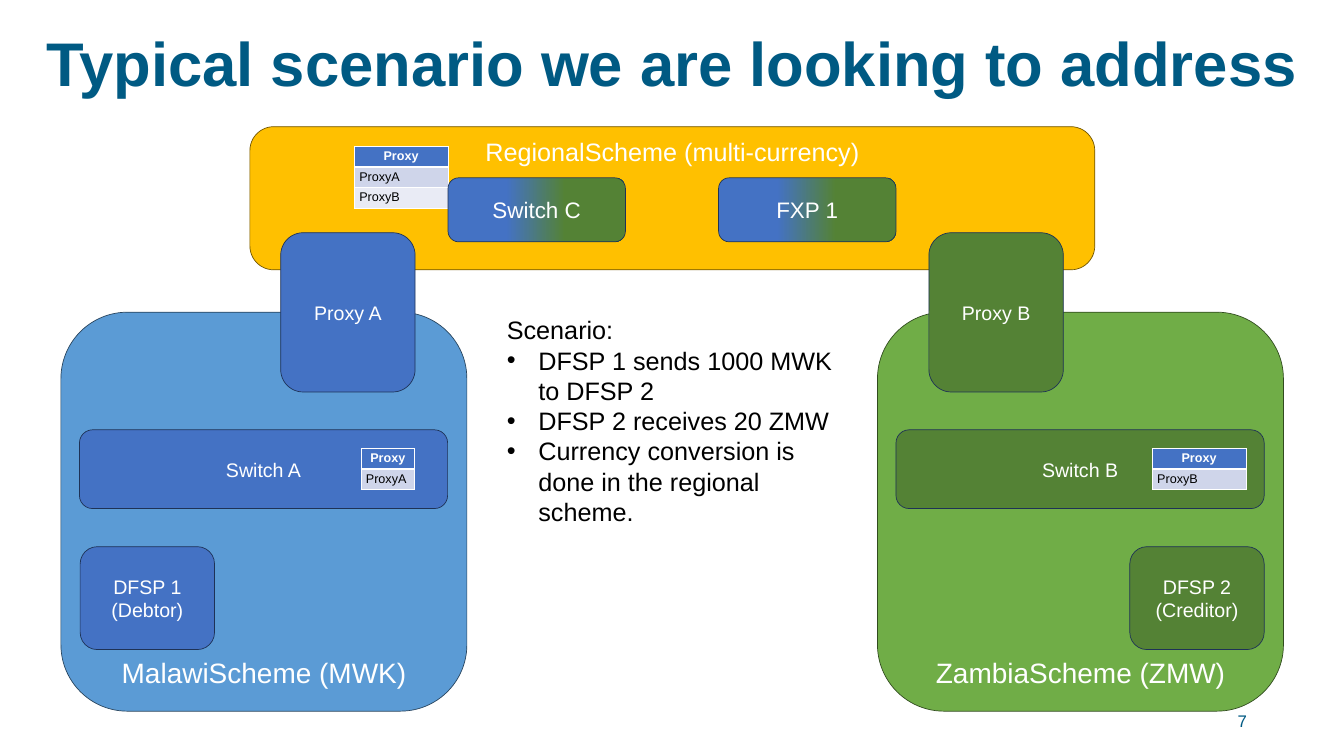
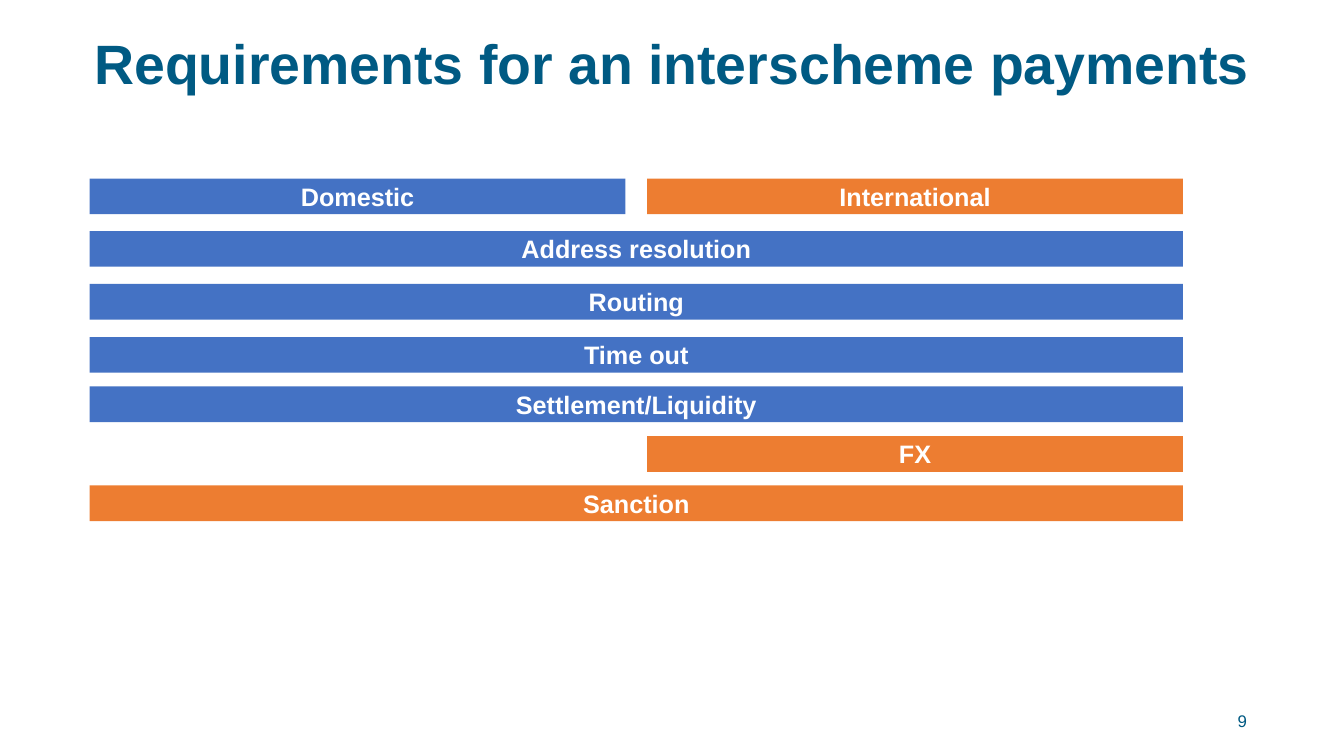
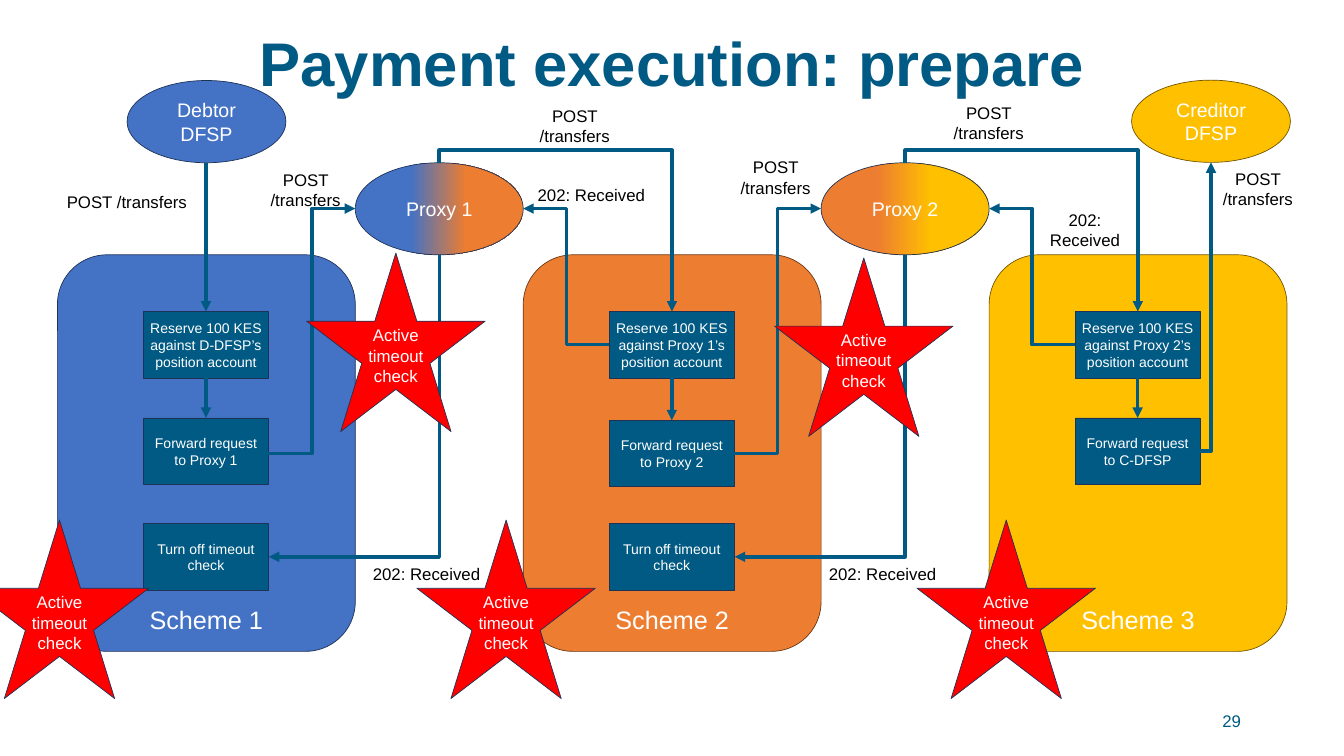
"""Build three slides on payments between regional and domestic schemes."""
from math import cos, radians, sin

from lxml.etree import SubElement
from pptx import Presentation
from pptx.dml.color import RGBColor
from pptx.enum.shapes import MSO_CONNECTOR as Link, MSO_SHAPE as Shape
from pptx.enum.text import MSO_ANCHOR as Anchor, PP_ALIGN as Align
from pptx.oxml.ns import qn
from pptx.util import Pt

COLOURS = {
    "brand": "005A83", "white": "FFFFFF", "black": "000000", "red": "FF0000",
    "blue": "4472C4", "sky": "5B9BD5", "green": "70AD47", "forest": "548235",
    "orange": "ED7D31", "gold": "FFC000", "navy": "1E3256", "slate": "28445D",
    "moss": "314C1F", "brown": "683715", "olive": "705400",
    "band": "CFD5EA", "pale": "E9EBF5",
}
FONT = "Arial"
STEP = 665.5
RECEIVED, TRANSFERS = "202: Received", "POST /transfers"


def rgb(name):
    """Return the named colour."""
    return RGBColor.from_string(COLOURS[name])


def points(*values):
    """Convert numbers to lengths in points."""
    return [Pt(value) for value in values]


def add_span(para, text, size, colour, bold=False, align=Align.CENTER):
    """Add one styled run to a paragraph."""
    para.alignment = align
    span = para.add_run()
    span.text = text
    font = span.font
    font.name, font.size, font.bold = FONT, Pt(size), bold
    font.color.rgb = rgb(colour)


def add_label(page, text, frame, size=24, colour="black", bold=False,
              align=Align.CENTER, anchor=Anchor.TOP):
    """Add a wrapping text box with one paragraph and return its paragraph."""
    body = page.shapes.add_textbox(*points(*frame)).text_frame
    body.word_wrap = True
    body.vertical_anchor = anchor
    para = body.paragraphs[0]
    add_span(para, text, size, colour, bold, align)
    return para


def paint(box, fill):
    """Fill a box with one colour, or with a soft split between two."""
    if isinstance(fill, str):
        box.fill.solid()
        box.fill.fore_color.rgb = rgb(fill)
        return
    box.fill.gradient()
    box.fill.gradient_angle = 0
    stops = box.element.spPr.find(".//" + qn("a:gsLst"))
    for stop in list(stops):
        stops.remove(stop)
    left, right = fill
    for place, name in ((0, left), (33, left), (66, right), (100, right)):
        stop = SubElement(stops, qn("a:gs"), pos=str(place * 1000))
        SubElement(stop, qn("a:srgbClr"), val=COLOURS[name])


def add_box(page, kind, text, frame, fill, size=28, edge="navy",
            anchor=Anchor.MIDDLE, bold=False):
    """Add a preset shape with centred white text."""
    box = page.shapes.add_shape(kind, *points(*frame))
    box.shadow.inherit = False
    paint(box, fill)
    if edge:
        box.line.color.rgb = rgb(edge)
        box.line.width = Pt(1)
    else:
        box.line.fill.background()
    body = box.text_frame
    body.word_wrap = True
    body.vertical_anchor = anchor
    add_span(body.paragraphs[0], text, size, "white", bold)
    return box


def style_arrow(arrow):
    """Give a connector its line, its arrowhead and no shadow."""
    arrow.line.color.rgb = rgb("brand")
    arrow.line.width = Pt(5)
    SubElement(arrow.line._get_or_add_ln(), qn("a:tailEnd"), type="triangle")
    SubElement(arrow.element.spPr, qn("a:effectLst"))


def add_arrow(page, end_box, start_box=None, start=(0, 0)):
    """Add a straight arrow to the top of a box."""
    arrow = page.shapes.add_connector(Link.STRAIGHT, *points(*start, *start))
    if start_box:
        arrow.begin_connect(start_box, 2)
    arrow.end_connect(end_box, 0)
    style_arrow(arrow)


def add_elbow(page, start, end, turn=0, bend=0.5, corner=False):
    """Add a bent arrow whose frame is rotated by turn degrees."""
    mid_x, mid_y = (start[0] + end[0]) / 2, (start[1] + end[1]) / 2
    off_x, off_y = start[0] - mid_x, start[1] - mid_y
    cosine, sine = cos(radians(turn)), sin(radians(turn))
    dx, dy = off_x * cosine + off_y * sine, off_y * cosine - off_x * sine
    arrow = page.shapes.add_connector(
        Link.ELBOW, *points(mid_x + dx, mid_y + dy, mid_x - dx, mid_y - dy))
    outline = arrow.element.spPr
    if turn:
        outline.find(qn("a:xfrm")).set("rot", str(turn * 60000))
    preset = outline.find(qn("a:prstGeom"))
    if corner:
        preset.set("prst", "bentConnector2")
    else:
        SubElement(preset.find(qn("a:avLst")), qn("a:gd"), name="adj1",
                   fmla=f"val {round(bend * 100000)}")
    style_arrow(arrow)


def add_borders(cell, bottom):
    """Draw white cell borders, with the given width at the bottom."""
    props = cell._tc.get_or_add_tcPr()
    sides = (("a:lnL", 1), ("a:lnR", 1), ("a:lnT", 1), ("a:lnB", bottom))
    for place, (side, width) in enumerate(sides):
        line = SubElement(props, qn(side), w=str(Pt(width)))
        fill = SubElement(line, qn("a:solidFill"))
        SubElement(fill, qn("a:srgbClr"), val=COLOURS["white"])
        props.insert(place, line)


def add_proxy_table(page, left, top, width, proxies):
    """Add a one-column table of proxies under a header."""
    rows = ["Proxy", *proxies]
    frame = points(left, top, width, 29.25 * len(rows))
    table = page.shapes.add_table(len(rows), 1, *frame).table
    for number, text in enumerate(rows):
        cell = table.cell(number, 0)
        header = number == 0
        cell.fill.solid()
        cell.fill.fore_color.rgb = rgb(("blue", "band", "pale")[number])
        add_borders(cell, 3 if header else 1)
        add_span(cell.text_frame.paragraphs[0], text, 18,
                 "white" if header else "black", header,
                 Align.CENTER if header else Align.LEFT)


def add_page(deck, title, number, size=88, number_left=1356.5):
    """Add a blank slide with its title and page number."""
    page = deck.slides.add_slide(deck.slide_layouts[6])
    para = add_label(page, title, (44.5, 36.5, 1831, 117.5), size, "brand",
                     True, anchor=Anchor.MIDDLE)
    para.line_spacing = 0.9
    add_label(page, number, (number_left, 1001, 432, 57.5), 24, "brand",
              align=Align.RIGHT, anchor=Anchor.MIDDLE)
    return page


def add_scenario(page, heading, bullets):
    """Add the heading and bullets of the scenario."""
    head = add_label(page, heading, (717, 446, 509, 312), 36, align=Align.LEFT)
    for text in bullets:
        para = head._parent.add_paragraph()
        add_span(para, text, 36, "black", align=Align.LEFT)
        props = para._p.get_or_add_pPr()
        props.set("marL", str(Pt(45)))
        props.set("indent", str(-Pt(45)))
        SubElement(props, qn("a:buFont"), typeface=FONT)
        SubElement(props, qn("a:buChar"), char="•")


def add_domestic_scheme(page, name, left, fill, edge, member_fill, letter,
                        proxy_left, dfsp, dfsp_left):
    """Add a domestic scheme with its proxy, switch and DFSP."""
    add_box(page, Shape.ROUNDED_RECTANGLE, name, (left, 446, 580, 570), fill,
            40, edge, Anchor.BOTTOM)
    members = (
        (dfsp, (dfsp_left, 781, 192, 147)),
        (f"Switch {letter}", (left + 26.5, 614, 526, 112.5)),
        (f"Proxy {letter}", (proxy_left, 332.5, 192, 227.5)),
    )
    for text, frame in members:
        add_box(page, Shape.ROUNDED_RECTANGLE, text, frame, member_fill)


def build_scenario(deck):
    """Build the slide with the typical scenario."""
    page = add_page(deck, "Typical scenario we are looking to address", "7")
    add_box(page, Shape.ROUNDED_RECTANGLE, "RegionalScheme (multi-currency)",
            (357, 181, 1207, 204.5), "gold", 36, "olive", Anchor.TOP)
    add_domestic_scheme(page, "MalawiScheme (MWK)", 87, "sky", "slate", "blue",
                        "A", 401, "DFSP 1 (Debtor)", 114.5)
    add_domestic_scheme(page, "ZambiaScheme (ZMW)", 1253.5, "green", "moss",
                        "forest", "B", 1327, "DFSP 2 (Creditor)", 1614)
    add_scenario(page, "Scenario:", (
        "DFSP 1 sends 1000 MWK to DFSP 2",
        "DFSP 2 receives 20 ZMW",
        "Currency conversion is done in the regional scheme."))
    add_proxy_table(page, 515.5, 641, 77, ["ProxyA"])
    add_proxy_table(page, 506, 209.5, 134, ["ProxyA", "ProxyB"])
    add_proxy_table(page, 1646, 641, 134, ["ProxyB"])
    for text, left in (("Switch C", 640), ("FXP 1", 1026.5)):
        add_box(page, Shape.ROUNDED_RECTANGLE, text, (left, 254, 253.5, 91.5),
                ("blue", "forest"), 32)


def build_requirements(deck):
    """Build the slide with the requirement bars."""
    page = add_page(deck, "Requirements for an interscheme payments", "9", 79.2)
    left_half, right_half, whole = (128, 765.5), (924.5, 765.5), (128, 1562)
    bars = (
        ("Domestic", 255, left_half, "blue"),
        ("International", 255, right_half, "orange"),
        ("Address resolution", 330, whole, "blue"),
        ("Routing", 405.5, whole, "blue"),
        ("Time out", 481.5, whole, "blue"),
        ("Settlement/Liquidity", 552, whole, "blue"),
        ("FX", 623, right_half, "orange"),
        ("Sanction", 693.5, whole, "orange"),
    )
    for text, top, (left, width), fill in bars:
        add_box(page, Shape.RECTANGLE, text, (left, top, width, 51), fill, 36,
                None, Anchor.TOP, True)


def add_step(page, text, column, top):
    """Add one processing step in the column of a scheme."""
    frame = (205 + STEP * column, top, 178.5, 95)
    return add_box(page, Shape.RECTANGLE, text, frame, "brand", 20)


def build_prepare(deck):
    """Build the slide with the prepare flow."""
    page = add_page(deck, "Payment execution: prepare", "29", number_left=1348)
    schemes = (("blue", "navy"), ("orange", "brown"), ("gold", "olive"))
    for column, (fill, edge) in enumerate(schemes):
        add_box(page, Shape.ROUNDED_RECTANGLE, f"Scheme {column + 1}",
                (82 + STEP * column, 364, 425.5, 566.5), fill, 36, edge,
                Anchor.BOTTOM)
    ovals = (
        ("Debtor DFSP", (181.5, 115, 227, 117.5), "blue", "navy"),
        ("Creditor DFSP", (1616.5, 114.5, 227, 117.5), "gold", "olive"),
        ("Proxy 1", (507.5, 232.5, 240, 131.5), ("blue", "orange"), "navy"),
        ("Proxy 2", (1173, 232.5, 240, 131.5), ("orange", "gold"), "navy"),
    )
    for text, frame, fill, edge in ovals:
        add_box(page, Shape.OVAL, text, frame, fill, edge=edge)

    steps = (("D-DFSP", "Proxy 1", 597), ("Proxy 1", "Proxy 2", 600.5),
             ("Proxy 2", "C-DFSP", 597))
    for column, (payer, target, top) in enumerate(steps):
        reserve = add_step(
            page, f"Reserve 100 KES against {payer}’s position account",
            column, 445)
        forward = add_step(page, f"Forward request to {target}", column, top)
        add_arrow(page, forward, reserve)
        if column == 0:
            add_arrow(page, reserve, start=(294.25, 232.5))
    for column in range(2):
        shift = STEP * column
        add_step(page, "Turn off timeout check", column, 748)
        add_elbow(page, (627.5 + shift, 232.5), (960 + shift, 445), 270, -0.085)
        add_elbow(page, (627.5 + shift, 364), (384 + shift, 795.5), 90,
                  corner=True)
        add_elbow(page, (383.5 + shift, 648), (507.5 + shift, 298))
        add_elbow(page, (870.5 + shift, 492.5), (747.5 + shift, 298), 180)
    add_elbow(page, (1714.5, 644.5), (1730, 232), corner=True)

    wide, narrow, slim = (201.5, 36), (165, 65.5), (140, 65.5)
    labels = (
        (TRANSFERS, wide, ((80.5, 270.5),)),
        (TRANSFERS, narrow, ((354, 238.5), (738.5, 147.5), (1025.5, 221),
                             (1330, 143.5), (1714.5, 237))),
        (RECEIVED, wide, ((508.5, 801.5), (1160, 801.5), (744, 260.5))),
        (RECEIVED, slim, ((1480, 296),)),
    )
    for text, size, corners in labels:
        for corner in corners:
            add_label(page, text, corner + size)
    stars = ((-42.5, 743), (1310, 743), (595.5, 743), (438, 361.5),
             (1106.5, 368.5))
    for corner in stars:
        add_box(page, Shape.STAR_5_POINT, "Active timeout check",
                corner + (255, 255), "red", 24)


def main():
    """Build and save the deck."""
    deck = Presentation()
    deck.slide_width, deck.slide_height = points(1920, 1080)
    build_scenario(deck)
    build_requirements(deck)
    build_prepare(deck)
    deck.save("out.pptx")


if __name__ == "__main__":
    main()
